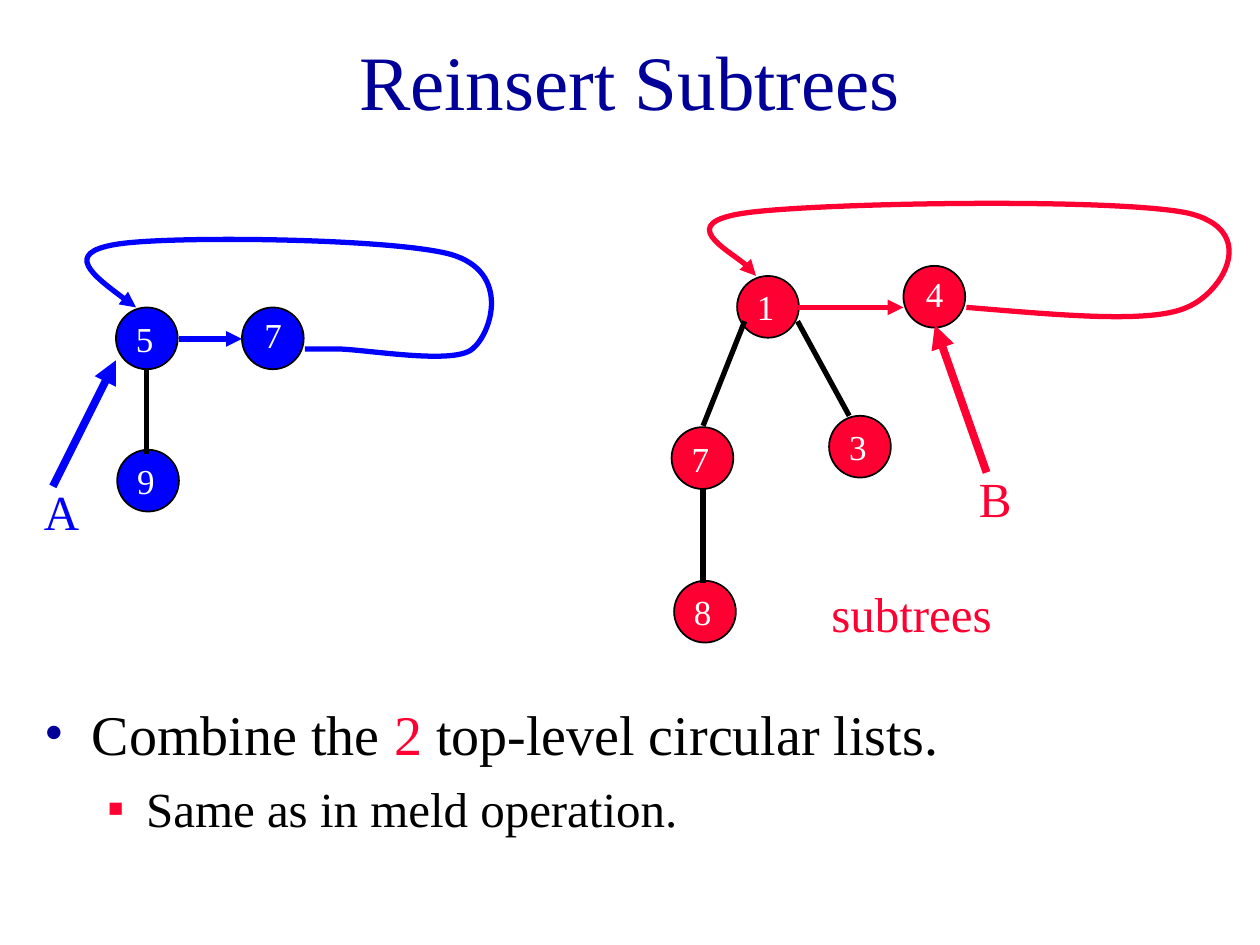
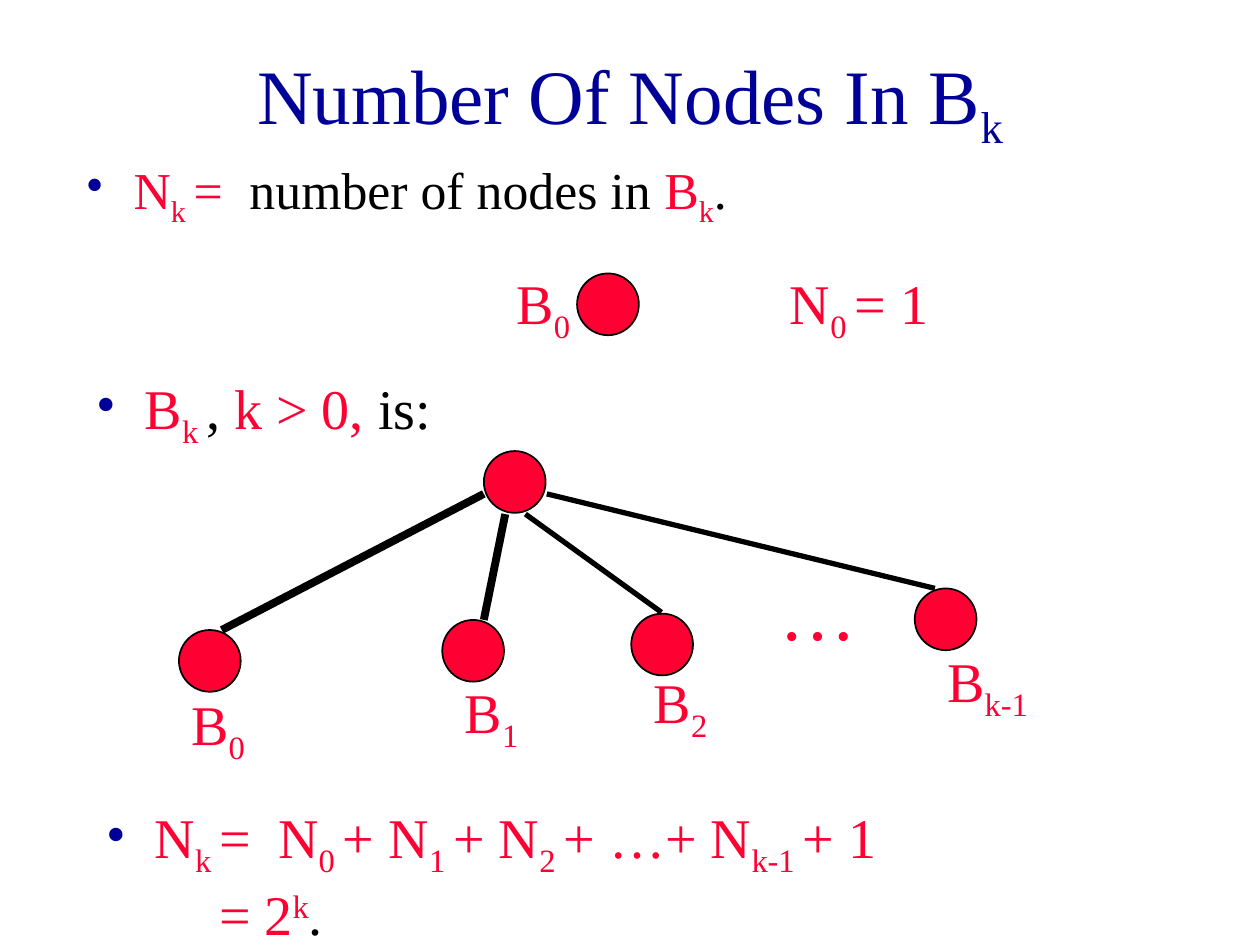
"""Build two slides on heap melding and binomial tree sizes."""
from lxml.etree import SubElement as Sub
from pptx import Presentation
from pptx.dml.color import RGBColor
from pptx.enum.shapes import MSO_CONNECTOR as Link, MSO_SHAPE as Shape
from pptx.enum.text import MSO_ANCHOR as Anchor, MSO_AUTO_SIZE as Auto, PP_ALIGN as Align
from pptx.oxml.ns import qn
from pptx.util import Pt

PX = 9144
FONT = "Times New Roman"
NAVY, BLUE, RED, BLACK, WHITE = "000099", "0000FF", "FF0033", "000000", "FFFFFF"
LIFT = {"_": "-25000", "^": "30000"}
TONE = {"~": BLACK, "!": RED}
NODE = 49
hue = RGBColor.from_string


def write(par, size, tone, runs):
    """Add runs; a leading _ or ^ shifts the baseline, ~ or ! sets the tone."""
    for text in runs:
        run = par.add_run()
        sign = text[0]
        run.text = text[1:] if sign in LIFT or sign in TONE else text
        run.font.name = FONT
        run.font.size = Pt(size)
        run.font.color.rgb = hue(TONE.get(sign, tone))
        if sign in LIFT:
            run.font._element.set("baseline", LIFT[sign])


def indent(par, left, hang, mark, tone, tab):
    """Set the indent, the bullet and a tab stop of a paragraph."""
    prop = par._p.get_or_add_pPr()
    prop.set("marL", str(left * PX))
    prop.set("indent", str(-hang * PX))
    if mark:
        Sub(Sub(prop, qn("a:buClr")), qn("a:srgbClr"), val=tone)
        Sub(prop, qn("a:buFont"), typeface=FONT)
        Sub(prop, qn("a:buChar"), char=mark)
    if tab:
        Sub(Sub(prop, qn("a:tabLst")), qn("a:tab"), pos=str(tab * PX), algn="l")


meld = dict(
    title=["Reinsert Subtrees"], tall=92,
    lists=[(25, 550, 142, [
        (0, 32, 1, 38, 38, "•", NAVY, 0, ["~Combine the ", "!2", "~ top-level circular lists."]),
        (1, 28, 1, 81, 31, "▪", RED, 0, ["~Same as in meld operation."])])],
    nodes=[(92, 244, BLUE, "5", 6, 3), (93, 357, BLUE, "9", 6, 3), (192, 244, BLUE, "7", 8, 0),
           (717, 211, RED, "4", 8, 0), (585, 219, RED, "1", 6, 3), (533, 339, RED, "7", 6, 3),
           (658, 330, RED, "3", 6, 3), (535, 461, RED, "8", 6, 3)],
    links=[(116, 293, 116, 360, BLACK, 3), (142, 269, 192, 269, BLUE, 3),
           (42, 386, 92, 286, BLUE, 4.5), (558, 388, 558, 463, BLACK, 3),
           (591, 255, 558, 338, BLACK, 3), (633, 255, 674, 330, BLACK, 3),
           (633, 244, 717, 244, RED, 3), (783, 375, 742, 258, RED, 4.5)],
    loops=[(BLUE, [(242, 277), (243, 277), (244, 277), (267, 277), (289, 277), (360, 290),
                   (375, 277), (390, 265), (406, 216), (358, 202), (311, 189), (133, 187),
                   (92, 194), (50, 201), (79, 223), (108, 244)]),
           (RED, [(767, 244), (840, 250), (913, 257), (942, 244), (971, 232), (1000, 182),
                  (942, 169), (883, 157), (649, 161), (592, 169), (535, 177), (599, 211),
                  (600, 219)])],
    tags=[(25, 377, 75, 57, 28, BLUE, ["A"]), (767, 367, 75, 57, 28, RED, ["B"]),
          (650, 458, 317, 57, 28, RED, ["subtrees"])])

count = dict(
    title=["Number Of Nodes In B", "_k"], tall=125,
    lists=[(58, 125, 58, [
        (0, 29.6, 0.8, 38, 38, "•", NAVY, 130,
         ["N", "_k ", "=\t", "~number of nodes in", " B", "_k", "~."])]),
           (67, 292, 58, [
        (0, 32, 0.9, 38, 38, "•", NAVY, 0, ["B", "_k ", "~, ", "k > 0, ", "~is:"])]),
           (75, 633, 58, [
        (0, 32, 0.9, 38, 38, "•", NAVY, 136,
         ["N", "_k ", "=\tN", "_0 ", "+ N", "_1 ", "+ N", "_2 ", "+ …+ N", "_k-1 ", "+ 1"]),
        (0, 32, 0.9, 89, 0, "", NAVY, 0, ["= 2", "^k", "~."])])],
    nodes=[(x, y, RED, "", 0, 0) for x, y in
           [(458, 217), (384, 358), (501, 487), (726, 467), (142, 500), (351, 492)]],
    links=[(417, 408, 525, 486, BLACK, 3), (434, 392, 742, 467, BLACK, 3),
           (401, 408, 384, 492, BLACK, 4.5), (384, 392, 176, 500, BLACK, 4.5)],
    loops=[],
    tags=[(609, 442, 75, 84, 44, RED, ["…"]), (617, 208, 133, 71, 32, RED, ["N", "_0 ", "= 1"])]
    + [(x, y, w, 71, 32, RED, ["B", sub]) for x, y, w, sub in
       [(400, 208, 75, "_0"), (142, 542, 67, "_0"), (359, 533, 67, "_1"),
        (509, 525, 67, "_2"), (742, 508, 108, "_k-1")]])

deck = Presentation()
deck.slide_width, deck.slide_height = 1000 * PX, 750 * PX

for scene in (meld, count):
    slide = deck.slides.add_slide(deck.slide_layouts[1])
    pool = slide.shapes
    head, body = slide.placeholders
    head.left, head.top, head.width, head.height = 75 * PX, 17 * PX, 850 * PX, scene["tall"] * PX
    head.text_frame.auto_size = Auto.NONE
    head.text_frame.vertical_anchor = Anchor.MIDDLE
    par = head.text_frame.paragraphs[0]
    par.alignment = Align.CENTER
    write(par, 44, NAVY, scene["title"])

    for nth, (x, y, h, rows) in enumerate(scene["lists"]):
        box = pool.add_textbox(0, 0, 0, 0) if nth else body
        box.left, box.top, box.width, box.height = x * PX, y * PX, 850 * PX, h * PX
        frame = box.text_frame
        frame.word_wrap = True
        frame.auto_size = Auto.NONE
        for row, (level, size, lead, left, hang, mark, tone, tab, runs) in enumerate(rows):
            par = frame.add_paragraph() if row else frame.paragraphs[0]
            par.level = level
            indent(par, left, hang, mark, tone, tab)
            par.line_spacing = lead
            par.space_before = Pt(8 - level if row else 0)
            write(par, size, RED, runs)

    tags = list(scene["tags"])
    for x, y, tone, digit, dx, dy in scene["nodes"]:
        node = pool.add_shape(Shape.OVAL, x * PX, y * PX, NODE * PX, NODE * PX)
        node.shadow.inherit = False
        node.fill.solid()
        node.fill.fore_color.rgb = hue(tone)
        node.line.color.rgb = hue(BLACK)
        node.line.width = Pt(1)
        if digit:
            tags.append((x + dx, y + dy, 34, 43, 20, WHITE, [digit]))

    for x1, y1, x2, y2, tone, width in scene["links"]:
        line = pool.add_connector(Link.STRAIGHT, x1 * PX, y1 * PX, x2 * PX, y2 * PX)
        line.line.color.rgb = hue(tone)
        line.line.width = Pt(width)
        if tone != BLACK:
            Sub(line.line._get_or_add_ln(), qn("a:tailEnd"), type="triangle")
        Sub(line._element.spPr, qn("a:effectLst"))

    for tone, dots in scene["loops"]:
        pen = pool.build_freeform(*dots[0], scale=PX)
        pen.add_line_segments(dots[1:], close=False)
        loop = pen.convert_to_shape()
        loop.shadow.inherit = False
        loop.fill.background()
        loop.line.color.rgb = hue(tone)
        loop.line.width = Pt(3)
        Sub(loop.line._get_or_add_ln(), qn("a:tailEnd"), type="triangle")
        legs = list(loop._element.iter(qn("a:lnTo")))
        for first, *rest in zip(legs[::3], legs[1::3], legs[2::3]):
            first.tag = qn("a:cubicBezTo")
            for leg in rest:
                first.append(leg[0])
                leg.getparent().remove(leg)

    for x, y, w, h, size, tone, runs in tags:
        tag = pool.add_textbox(x * PX, y * PX, w * PX, h * PX)
        tag.text_frame.word_wrap = tone != WHITE
        write(tag.text_frame.paragraphs[0], size, tone, runs)

deck.save("out.pptx")
